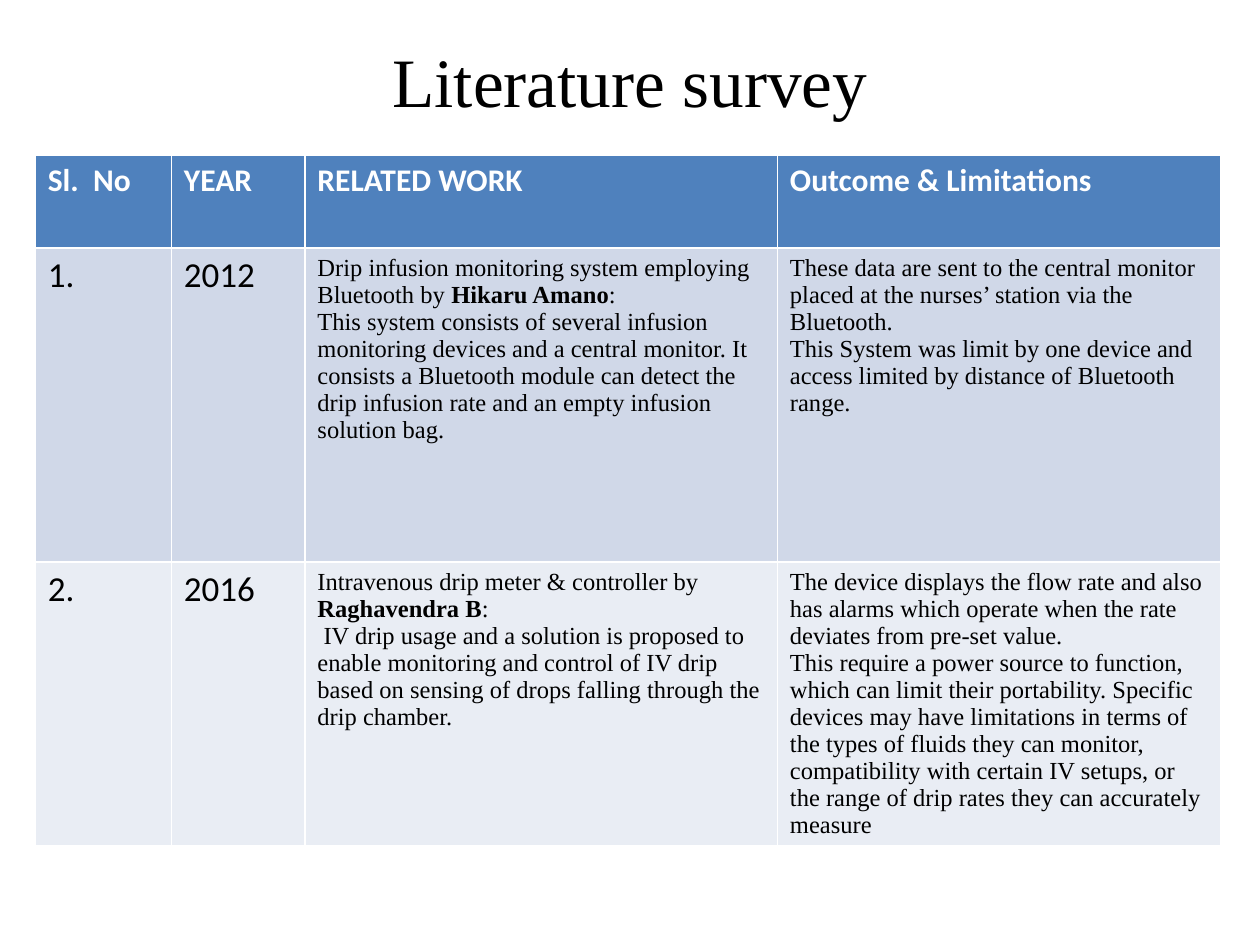
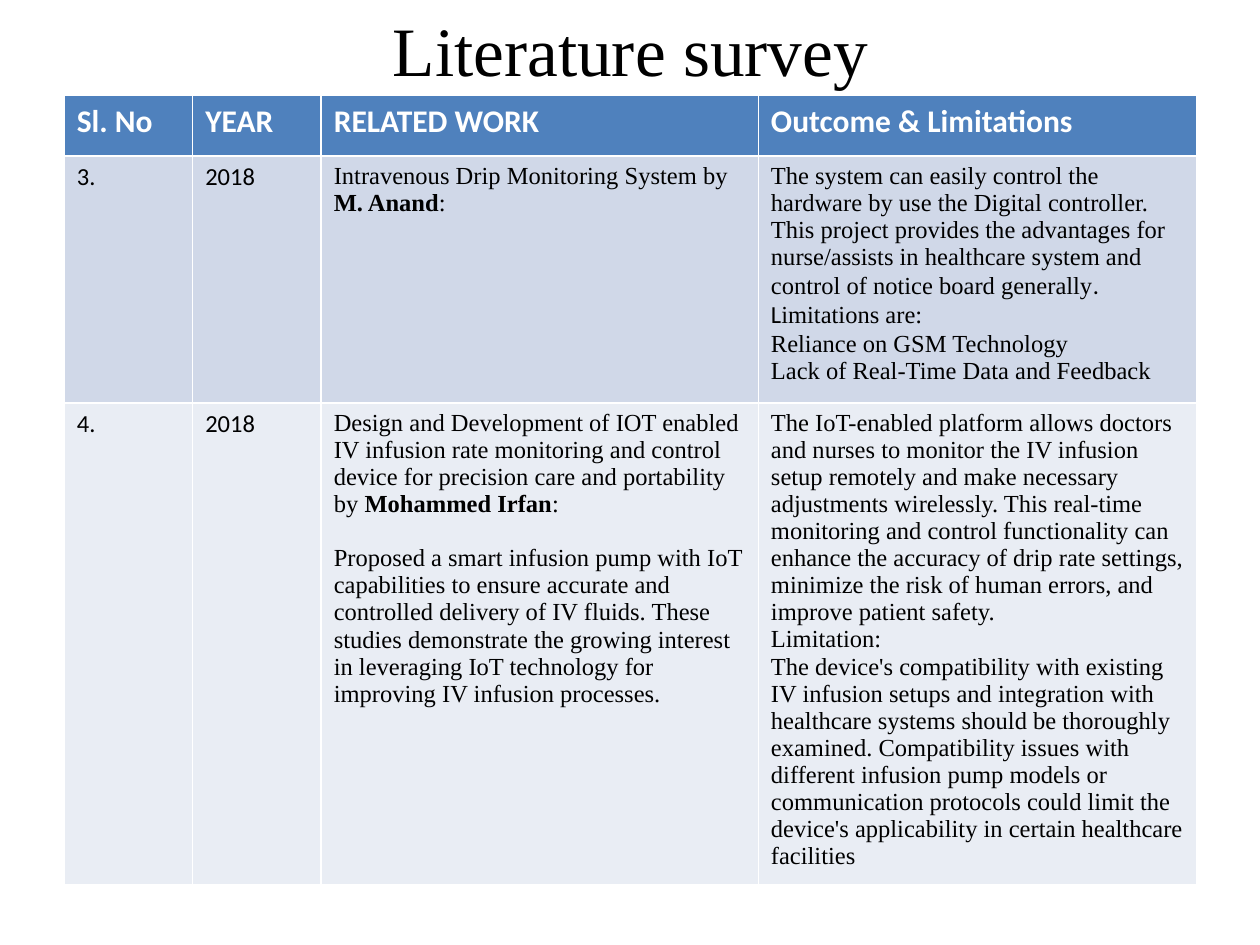
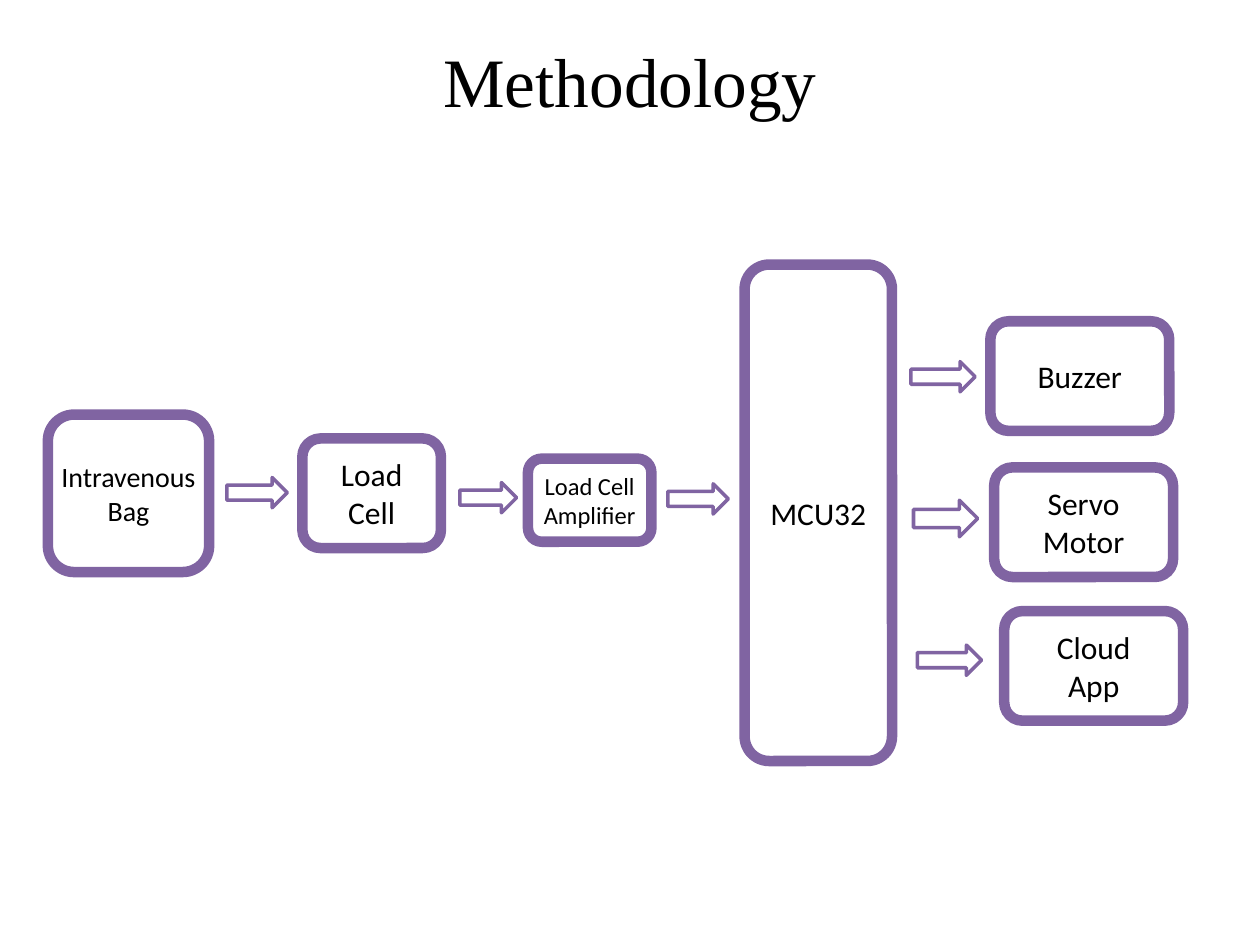
from pptx import Presentation
from pptx.dml.color import RGBColor
from pptx.enum import shapes, text
from pptx.util import Inches, Pt

BLACK = RGBColor(0x00, 0x00, 0x00)
WHITE = RGBColor(0xFF, 0xFF, 0xFF)
HEADER_BLUE = RGBColor(0x4F, 0x81, 0xBD)
ROW_FILLS = (RGBColor(0xD0, 0xD8, 0xE8), RGBColor(0xE9, 0xED, 0xF4))
PURPLE = RGBColor(0x80, 0x64, 0xA2)
SERIF, SANS = "Times New Roman", "Calibri"

TITLE_FORMAT = {"name": SERIF, "size": Pt(39.6), "bold": False}
HEADER_FORMAT = {"name": SANS, "size": Pt(18), "bold": True}
BODY_FORMAT = {"name": SERIF, "size": Pt(14), "bold": False}
BOLD = {"bold": True}
PLAIN_SANS = {"name": SANS}

TALL_TITLE = (0.5, 0.3, 9, 1.25)
HEADINGS = ["YEAR", "RELATED WORK", "Outcome & Limitations"]

# Each cell is a list of paragraphs; a paragraph is a string or a list of
# runs, and a run is a string or a (text, format) pair.
SURVEYS = [
    {
        "title_box": TALL_TITLE,
        "title_anchor": text.MSO_ANCHOR.TOP,
        "origin": (0.28, 1.23),
        "columns": (1.08, 1.06, 3.75, 3.52),
        "rows": (0.74, 2.49, 2.24),
        "number_heading": "Sl.  No",
        "number_size": 20,
        "entries": [
            ("1.", "2012", [
                ["Drip infusion monitoring system employing Bluetooth by ",
                 ("Hikaru Amano", BOLD), ":"],
                "This system consists of several infusion monitoring devices and a "
                "central monitor. It consists a Bluetooth module can detect the drip "
                "infusion rate and an empty infusion solution bag.",
            ], [
                "These data are sent to the central monitor placed at the nurses’ "
                "station via the Bluetooth.",
                "This System was limit by one device and access limited by distance "
                "of Bluetooth range.",
            ]),
            ("2.", "2016", [
                ["Intravenous drip meter & controller by ",
                 ("Raghavendra B", BOLD), ":"],
                " IV drip usage and a solution is proposed to enable monitoring and "
                "control of IV drip based on sensing of drops falling through the "
                "drip chamber.",
            ], [
                "The device displays the flow rate and also has alarms which operate "
                "when the rate deviates from pre-set value.",
                "This require a power source to function, which can limit their "
                "portability. Specific devices may have limitations in terms of the "
                "types of fluids they can monitor, compatibility with certain IV "
                "setups, or the range of drip rates they can accurately measure",
            ]),
        ],
    },
    {
        "title_box": (0.51, 0.01, 8.99, 0.75),
        "title_anchor": text.MSO_ANCHOR.MIDDLE,
        "origin": (0.51, 0.76),
        "columns": (1.02, 1.02, 3.47, 3.48),
        "rows": (0.48, 1.96, 3.82),
        "number_heading": "Sl. No",
        "number_size": 14,
        "paragraph_gap": {(2, 2): 15.5},
        "entries": [
            ("3.", "2018", [
                ["Intravenous Drip Monitoring System by ", ("M. Anand", BOLD), ":"],
            ], [
                ["The system can easily control the hardware by use the Digital "
                 "controller. This project provides the advantages for "
                 "nurse/assists in healthcare system and control of notice board "
                 "generally", (".", PLAIN_SANS)],
                [("L", PLAIN_SANS), "imitations are:"],
                "Reliance on GSM Technology",
                "Lack of Real-Time Data and Feedback",
            ]),
            ("4.", "2018", [
                ["Design and Development of IOT enabled IV infusion rate monitoring "
                 "and control device for precision care and portability by ",
                 ("Mohammed Irfan", BOLD), ":"],
                "Proposed a smart infusion pump with IoT capabilities to ensure "
                "accurate and controlled delivery of IV fluids. These studies "
                "demonstrate the growing interest in leveraging IoT technology for "
                "improving IV infusion processes.",
            ], [
                "The IoT-enabled platform allows doctors and nurses to monitor the IV "
                "infusion setup remotely and make necessary adjustments wirelessly. "
                "This real-time monitoring and control functionality can enhance the "
                "accuracy of drip rate settings, minimize the risk of human errors, "
                "and improve patient safety.",
                "Limitation:",
                "The device's compatibility with existing IV infusion setups and "
                "integration with healthcare systems should be thoroughly examined. "
                "Compatibility issues with different infusion pump models or "
                "communication protocols could limit the device's applicability in "
                "certain healthcare facilities",
            ]),
        ],
    },
]

# Block diagram: label, text size, box
OUTPUT_SIZE = (1.42, 0.87)
BLOCKS = [
    ("Intravenous\nBag", 16, (0.38, 3.29, 1.28, 1.25)),
    ("Load\nCell", 18, (2.4, 3.48, 1.1, 0.87)),
    ("Load Cell\nAmplifier", 14, (4.19, 3.64, 0.98, 0.66)),
    ("MCU32", 18, (5.91, 2.1, 1.17, 3.94)),
    ("Buzzer", 18, (7.86, 2.55, *OUTPUT_SIZE)),
    ("Servo\nMotor", 18, (7.89, 3.71, *OUTPUT_SIZE)),
    ("Cloud\nApp", 18, (7.97, 4.85, *OUTPUT_SIZE)),
]
FLOW_ARROWS = [
    (1.8, 3.79, 0.48, 0.24),
    (3.65, 3.83, 0.45, 0.24),
    (5.3, 3.84, 0.48, 0.24),
    (7.23, 2.87, 0.51, 0.24),
    (7.25, 3.97, 0.51, 0.29),
    (7.28, 5.12, 0.51, 0.24),
]


def inches(values):
    return [Inches(value) for value in values]


def format_font(font, values, color=BLACK):
    for name, value in values.items():
        setattr(font, name, value)
    font.color.rgb = color


def add_titled_slide(presentation, title, box, anchor):
    slide = presentation.slides.add_slide(presentation.slide_layouts[5])
    shape = slide.shapes.title
    shape.left, shape.top, shape.width, shape.height = inches(box)
    frame = shape.text_frame
    frame.text = title
    frame.auto_size = text.MSO_AUTO_SIZE.NONE
    frame.vertical_anchor = anchor
    frame.margin_top = frame.margin_bottom = 0
    paragraph = frame.paragraphs[0]
    paragraph.alignment = text.PP_ALIGN.CENTER
    format_font(paragraph.runs[0].font, TITLE_FORMAT)
    return slide


def fill_cell(cell, content, fill, values, color=BLACK, gap=0):
    cell.fill.solid()
    cell.fill.fore_color.rgb = fill
    paragraphs = [content] if isinstance(content, str) else content
    for index, parts in enumerate(paragraphs):
        frame = cell.text_frame
        paragraph = frame.add_paragraph() if index else frame.paragraphs[0]
        if index and gap:
            paragraph.space_before = Pt(gap)
        for part in [parts] if isinstance(parts, str) else parts:
            words, changes = (part, {}) if isinstance(part, str) else part
            run = paragraph.add_run()
            run.text = words
            format_font(run.font, {**values, **changes}, color)


def add_survey(presentation, survey):
    slide = add_titled_slide(presentation, "Literature survey",
                             survey["title_box"], survey["title_anchor"])
    columns, rows = survey["columns"], survey["rows"]
    table = slide.shapes.add_table(
        len(rows), len(columns),
        *inches((*survey["origin"], sum(columns), sum(rows)))).table
    for column, width in zip(table.columns, columns):
        column.width = Inches(width)
    for row, height in zip(table.rows, rows):
        row.height = Inches(height)

    # Heading row
    for column, heading in enumerate([survey["number_heading"], *HEADINGS]):
        fill_cell(table.cell(0, column), heading, HEADER_BLUE, HEADER_FORMAT, WHITE)

    # Surveyed works
    number_format = {"name": SANS, "size": Pt(survey["number_size"]), "bold": False}
    gaps = survey.get("paragraph_gap", {})
    for row, entry in enumerate(survey["entries"], start=1):
        for column, content in enumerate(entry):
            values = number_format if column < 2 else BODY_FORMAT
            fill_cell(table.cell(row, column), content, ROW_FILLS[row - 1],
                      values, gap=gaps.get((row, column), 0))


def add_outlined(slide, kind, box, line_width):
    shape = slide.shapes.add_shape(kind, *inches(box))
    shape.shadow.inherit = False
    shape.fill.solid()
    shape.fill.fore_color.rgb = WHITE
    shape.line.color.rgb = PURPLE
    shape.line.width = Pt(line_width)
    return shape


def add_methodology(presentation):
    slide = add_titled_slide(presentation, "Methodology", TALL_TITLE,
                             text.MSO_ANCHOR.TOP)
    for label, size, box in BLOCKS:
        block = add_outlined(slide, shapes.MSO_SHAPE.ROUNDED_RECTANGLE, box, 6)
        frame = block.text_frame
        frame.text = label
        frame.word_wrap = True
        frame.margin_left = frame.margin_right = 0
        frame.vertical_anchor = text.MSO_ANCHOR.MIDDLE
        for paragraph in frame.paragraphs:
            paragraph.alignment = text.PP_ALIGN.CENTER
            format_font(paragraph.runs[0].font, {"name": SANS, "size": Pt(size)})
    for box in FLOW_ARROWS:
        add_outlined(slide, shapes.MSO_SHAPE.RIGHT_ARROW, box, 2)


def main():
    presentation = Presentation()
    presentation.slide_width, presentation.slide_height = Inches(10), Inches(7.5)
    for survey in SURVEYS:
        add_survey(presentation, survey)
    add_methodology(presentation)
    presentation.save("out.pptx")


if __name__ == "__main__":
    main()
